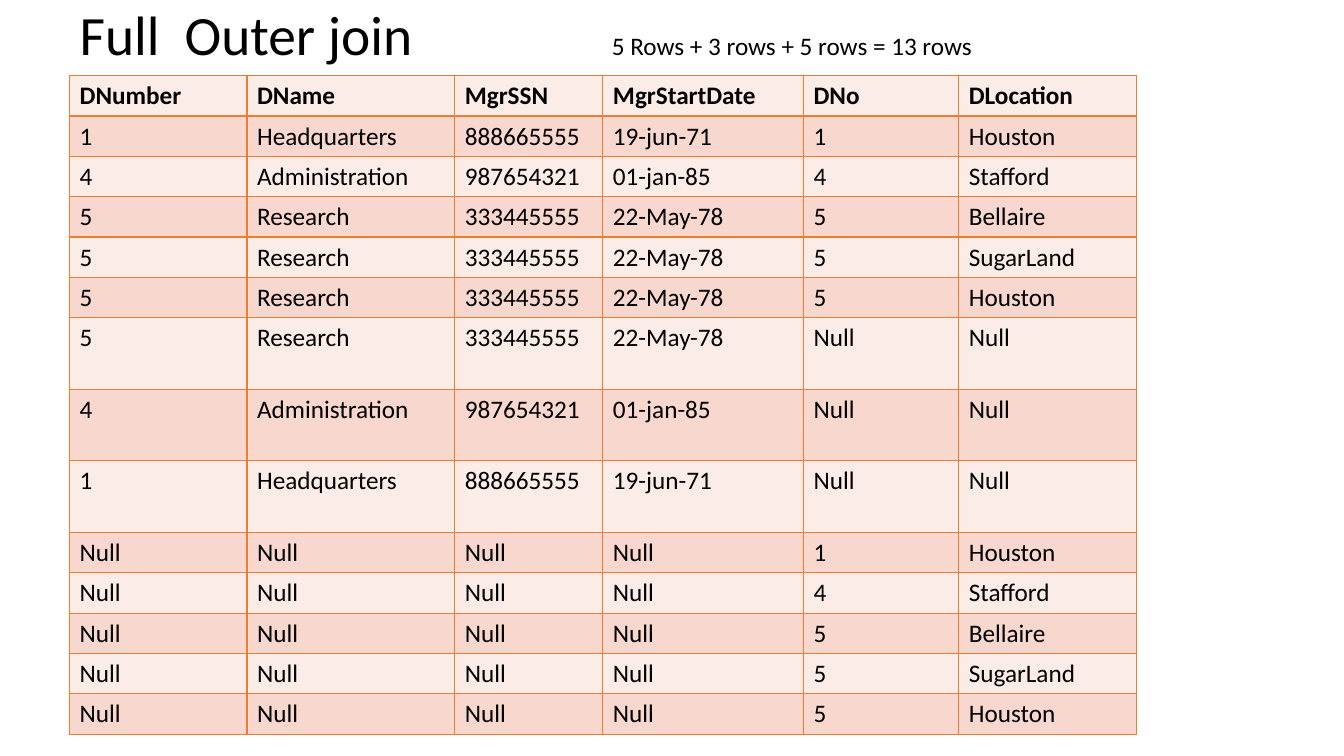
from dataclasses import dataclass

from lxml.etree import SubElement
from pptx import Presentation
from pptx.dml.color import RGBColor
from pptx.enum.text import MSO_ANCHOR as Anchor, MSO_AUTO_SIZE as AutoSize, PP_ALIGN as Align
from pptx.oxml.ns import qn
from pptx.util import Pt

PX = 9144  # EMU in one px, 100 px to the inch


@dataclass(frozen=True)
class Theme:
    font: str = "Calibri"
    ink: str = "000000"
    border: str = "ED7D31"
    bands: tuple = ("FCECE8", "F8D7CE")
    title_size: float = 39.6
    body_size: float = 18


theme = Theme()


def write(frame, text, size=theme.body_size, bold=False, anchor=Anchor.TOP, spacing=1.0):
    frame.vertical_anchor = anchor
    paragraph = frame.paragraphs[0]
    paragraph.alignment = Align.LEFT
    paragraph.line_spacing = spacing
    run = paragraph.add_run()
    run.text = text
    run.font.name = theme.font
    run.font.size = Pt(size)
    run.font.bold = bold
    run.font.color.rgb = RGBColor.from_string(theme.ink)


def set_borders(cell):
    properties = cell._tc.get_or_add_tcPr()
    for side in ("a:lnL", "a:lnR", "a:lnT", "a:lnB"):
        line = SubElement(properties, qn(side), w=str(Pt(1)))
        fill = SubElement(line, qn("a:solidFill"))
        SubElement(fill, qn("a:srgbClr"), val=theme.border)


presentation = Presentation()
presentation.slide_width = 1333 * PX
presentation.slide_height = 750 * PX
slide = presentation.slides.add_slide(presentation.slide_layouts[5])

# Title
title = slide.shapes.title
title.left, title.top, title.width, title.height = 69 * PX, 0, 1150 * PX, 75 * PX
title.text_frame.auto_size = AutoSize.NONE
write(title.text_frame, "Full  Outer join", size=theme.title_size,
      anchor=Anchor.MIDDLE, spacing=0.9)

# Row count
row_count = slide.shapes.add_textbox(597 * PX, 25 * PX, 426 * PX, 40 * PX)
row_count.text_frame.word_wrap = True
row_count.text_frame.auto_size = AutoSize.SHAPE_TO_FIT_TEXT
write(row_count.text_frame, "5 Rows + 3 rows + 5 rows = 13 rows")

# Join data: matched rows, then departments alone, then locations alone
header = ("DNumber", "DName", "MgrSSN", "MgrStartDate", "DNo", "DLocation")
departments = {
    "1": ("1", "Headquarters", "888665555", "19-jun-71"),
    "4": ("4", "Administration", "987654321", "01-jan-85"),
    "5": ("5", "Research", "333445555", "22-May-78"),
}
locations = [("1", "Houston"), ("4", "Stafford"), ("5", "Bellaire"),
             ("5", "SugarLand"), ("5", "Houston")]
matched = [departments[location[0]] + location for location in locations]
departments_only = [departments[number] + ("Null",) * 2 for number in ("5", "4", "1")]
locations_only = [("Null",) * 4 + location for location in locations]
rows = [header] + matched + departments_only + locations_only

# Table
column_widths = (176, 206, 147, 199, 154, 176)
row_heights = [71 if row in departments_only else 40 for row in rows]
table = slide.shapes.add_table(
    len(rows), len(header), 69 * PX, 75 * PX,
    sum(column_widths) * PX, sum(row_heights) * PX).table
table.horz_banding = False
for column, width in zip(table.columns, column_widths):
    column.width = width * PX
for row_index, values in enumerate(rows):
    table.rows[row_index].height = row_heights[row_index] * PX
    for column_index, value in enumerate(values):
        cell = table.cell(row_index, column_index)
        write(cell.text_frame, value, bold=row_index == 0)
        set_borders(cell)
        cell.fill.solid()
        cell.fill.fore_color.rgb = RGBColor.from_string(theme.bands[row_index % 2])

presentation.save("out.pptx")
